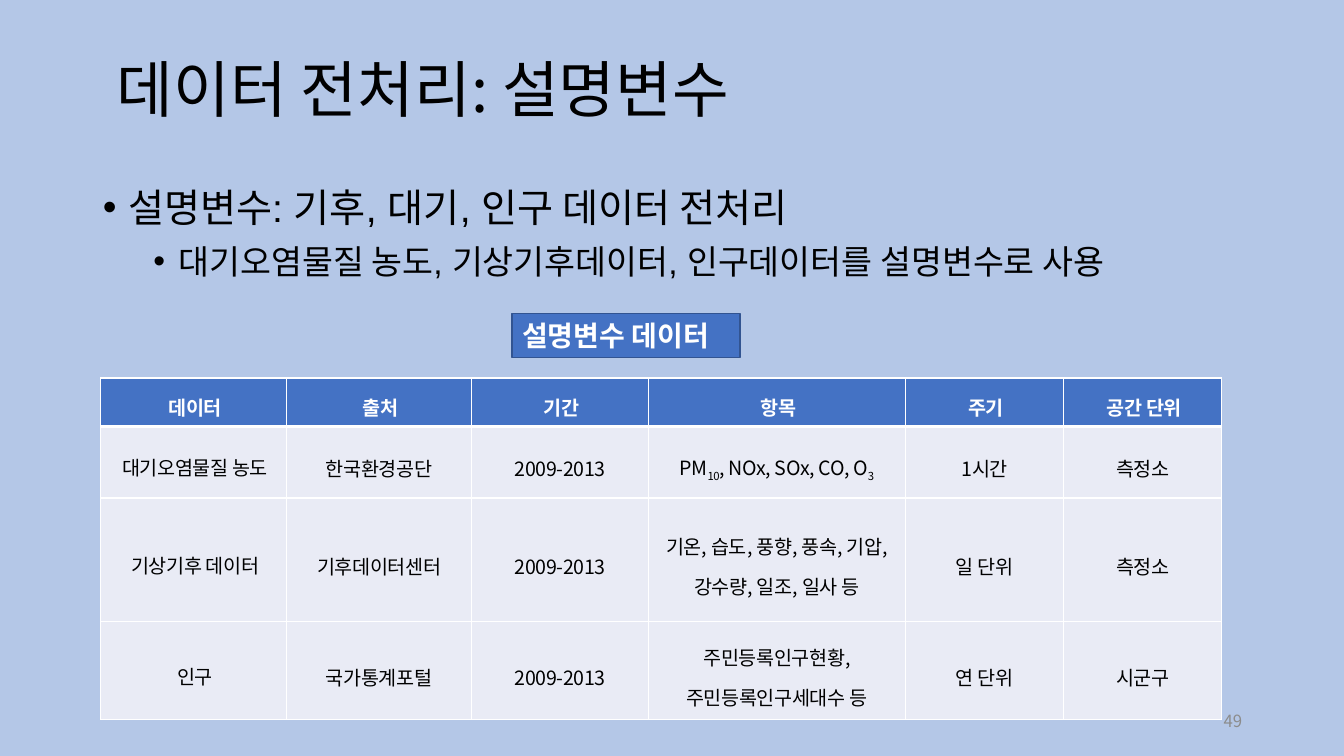
"""Build the slide on preprocessing the explanatory variables."""
import dataclasses
import typing

import lxml.etree
import pptx
import pptx.dml.color
import pptx.enum.shapes
import pptx.enum.text
import pptx.oxml.ns
import pptx.util

Inches = pptx.util.Inches
Align = pptx.enum.text.PP_ALIGN
Anchor = pptx.enum.text.MSO_ANCHOR
AutoSize = pptx.enum.text.MSO_AUTO_SIZE


@dataclasses.dataclass(frozen=True)
class Theme:
    background: str = "B4C7E7"
    accent: str = "4472C4"
    accent_line: str = "325491"
    cell: str = "E9EBF5"
    dark: str = "000000"
    light: str = "FFFFFF"
    muted: str = "8C8C8C"
    font: str = "Noto Sans CJK KR"
    body_font: str = "Arial"
    title_size: int = 44
    label_size: int = 20
    table_size: int = 14
    number_size: int = 12


@dataclasses.dataclass(frozen=True)
class Bullet:
    text: str
    level: int
    size: int
    indent: float
    space_before: int


class DataSource(typing.NamedTuple):
    """One table row; a bar in a text switches subscript on or off."""
    name: str
    provider: str
    period: str
    items: str
    cycle: str
    area: str


THEME = Theme()
BULLETS = [
    Bullet("설명변수: 기후, 대기, 인구 데이터 전처리", 0, 28, 0.25, 0),
    Bullet("대기오염물질 농도, 기상기후데이터, 인구데이터를 설명변수로 사용", 1, 24, 0.75, 5),
]
HEADER = DataSource("데이터", "출처", "기간", "항목", "주기", "공간 단위")
SOURCES = [
    DataSource("대기오염물질 농도", "한국환경공단", "2009-2013",
               "PM|10|, NOx, SOx, CO, O|3", "1시간", "측정소"),
    DataSource("기상기후 데이터", "기후데이터센터", "2009-2013",
               "기온, 습도, 풍향, 풍속, 기압, 강수량, 일조, 일사 등", "일 단위", "측정소"),
    DataSource("인구", "국가통계포털", "2009-2013",
               "주민등록인구현황, 주민등록인구세대수 등", "연 단위", "시군구"),
]
COLUMN_WIDTHS = [1.84, 1.84, 1.75, 2.55, 1.57, 1.57]
ROW_HEIGHTS = [0.48, 0.71, 1.23, 0.97]


def color(value: str) -> pptx.dml.color.RGBColor:
    return pptx.dml.color.RGBColor.from_string(value)


def add_element(parent, tag: str, **attributes: str):
    return lxml.etree.SubElement(parent, pptx.oxml.ns.qn(tag), attributes)


def format_runs(para, size: int, fill: str, bold: bool = False, font: str = THEME.font) -> None:
    for span in para.runs:
        span.font.size = pptx.util.Pt(size)
        span.font.bold = bold
        span.font.color.rgb = color(fill)
        span.font.name = font
        add_element(span.font._element, "a:ea", typeface=THEME.font)


def place(shape, left: float, top: float, width: float, height: float) -> None:
    shape.left, shape.top = Inches(left), Inches(top)
    shape.width, shape.height = Inches(width), Inches(height)


def fill_title(title) -> None:
    place(title, 0.92, 0.4, 11.5, 1.04)
    frame = title.text_frame
    frame.text = "데이터 전처리: 설명변수"
    frame.auto_size = AutoSize.NONE
    frame.vertical_anchor = Anchor.MIDDLE
    frame.margin_left = Inches(0.24)
    para = frame.paragraphs[0]
    para.alignment = Align.LEFT
    para.line_spacing = 0.9
    format_runs(para, THEME.title_size, THEME.dark)


def fill_body(body) -> None:
    place(body, 0.92, 1.69, 11.5, 1.62)
    frame = body.text_frame
    frame.text = "\n".join(bullet.text for bullet in BULLETS)
    frame.auto_size = AutoSize.NONE
    frame.margin_top = frame.margin_bottom = Inches(0.08)
    for para, bullet in zip(frame.paragraphs, BULLETS):
        para.level = bullet.level
        properties = para._p.get_or_add_pPr()
        properties.set("marL", str(Inches(bullet.indent)))
        properties.set("indent", str(Inches(-0.25)))
        add_element(properties, "a:buFont", typeface=THEME.body_font)
        add_element(properties, "a:buChar", char="•")
        para.line_spacing = 1.1
        para.space_before = pptx.util.Pt(bullet.space_before)
        format_runs(para, bullet.size, THEME.dark, font=THEME.body_font)


def add_page_number(page) -> None:
    box = page.shapes.add_textbox(Inches(9.42), Inches(6.95), Inches(3), Inches(0.4))
    frame = box.text_frame
    frame.word_wrap = True
    frame.vertical_anchor = Anchor.MIDDLE
    frame.text = "49"
    frame.paragraphs[0].alignment = Align.RIGHT
    format_runs(frame.paragraphs[0], THEME.number_size, THEME.muted)


def set_borders(cell, top: int, bottom: int) -> None:
    properties = cell._tc.get_or_add_tcPr()
    for tag, width in (("a:lnL", 1), ("a:lnR", 1), ("a:lnT", top), ("a:lnB", bottom)):
        line = add_element(properties, tag, w=str(pptx.util.Pt(width)))
        add_element(add_element(line, "a:solidFill"), "a:srgbClr", val=THEME.light)


def fill_cell(cell, text: str, row: int, column: int) -> None:
    is_header = row == 0
    has_indent = is_header or column == 0
    set_borders(cell, 3 if row == 1 else 1, 3 if is_header else 1)
    cell.fill.solid()
    cell.fill.fore_color.rgb = color(THEME.accent if is_header else THEME.cell)
    cell.vertical_anchor = Anchor.MIDDLE
    cell.margin_left = cell.margin_right = Inches(0.1)
    cell.margin_top = cell.margin_bottom = Inches(0.02)
    para = cell.text_frame.paragraphs[0]
    para.alignment = Align.CENTER
    para.line_spacing = 1.35 if has_indent else 1.4
    if has_indent:
        para._p.get_or_add_pPr().set("marL", str(Inches(0.03)))
    for index, part in enumerate(text.split("|")):
        span = para.add_run()
        span.text = part
        span.font._element.set("spc", "-30")
        if index % 2:
            span.font._element.set("baseline", "-25000")
    format_runs(para, THEME.table_size, THEME.light if is_header else THEME.dark, is_header)


def add_source_table(page) -> None:
    rows = [HEADER, *SOURCES]
    frame = page.shapes.add_table(len(rows), len(HEADER), Inches(1), Inches(3.75),
                                  Inches(sum(COLUMN_WIDTHS)), Inches(sum(ROW_HEIGHTS)))
    table = frame.table
    table.horz_banding = False
    for column, width in zip(table.columns, COLUMN_WIDTHS):
        column.width = Inches(width)
    for row, (source, height) in enumerate(zip(rows, ROW_HEIGHTS)):
        table.rows[row].height = Inches(height)
        for column, text in enumerate(source):
            fill_cell(table.cell(row, column), text, row, column)


def add_table_label(page) -> None:
    label = page.shapes.add_shape(pptx.enum.shapes.MSO_SHAPE.RECTANGLE,
                                  Inches(5.08), Inches(3.11), Inches(2.26), Inches(0.44))
    label.shadow.inherit = False
    label.fill.solid()
    label.fill.fore_color.rgb = color(THEME.accent)
    label.line.color.rgb = color(THEME.accent_line)
    label.line.width = pptx.util.Pt(1)
    frame = label.text_frame
    frame.text = "설명변수 데이터"
    frame.word_wrap = True
    frame.auto_size = AutoSize.SHAPE_TO_FIT_TEXT
    frame.vertical_anchor = Anchor.TOP
    frame.paragraphs[0].alignment = Align.LEFT
    format_runs(frame.paragraphs[0], THEME.label_size, THEME.light, True)


def main() -> None:
    deck = pptx.Presentation()
    deck.slide_width, deck.slide_height = Inches(13.33), Inches(7.5)
    page = deck.slides.add_slide(deck.slide_layouts[1])
    page.background.fill.solid()
    page.background.fill.fore_color.rgb = color(THEME.background)
    fill_title(page.shapes.title)
    fill_body(page.placeholders[1])
    add_page_number(page)
    add_source_table(page)
    add_table_label(page)
    deck.save("out.pptx")


if __name__ == "__main__":
    main()
